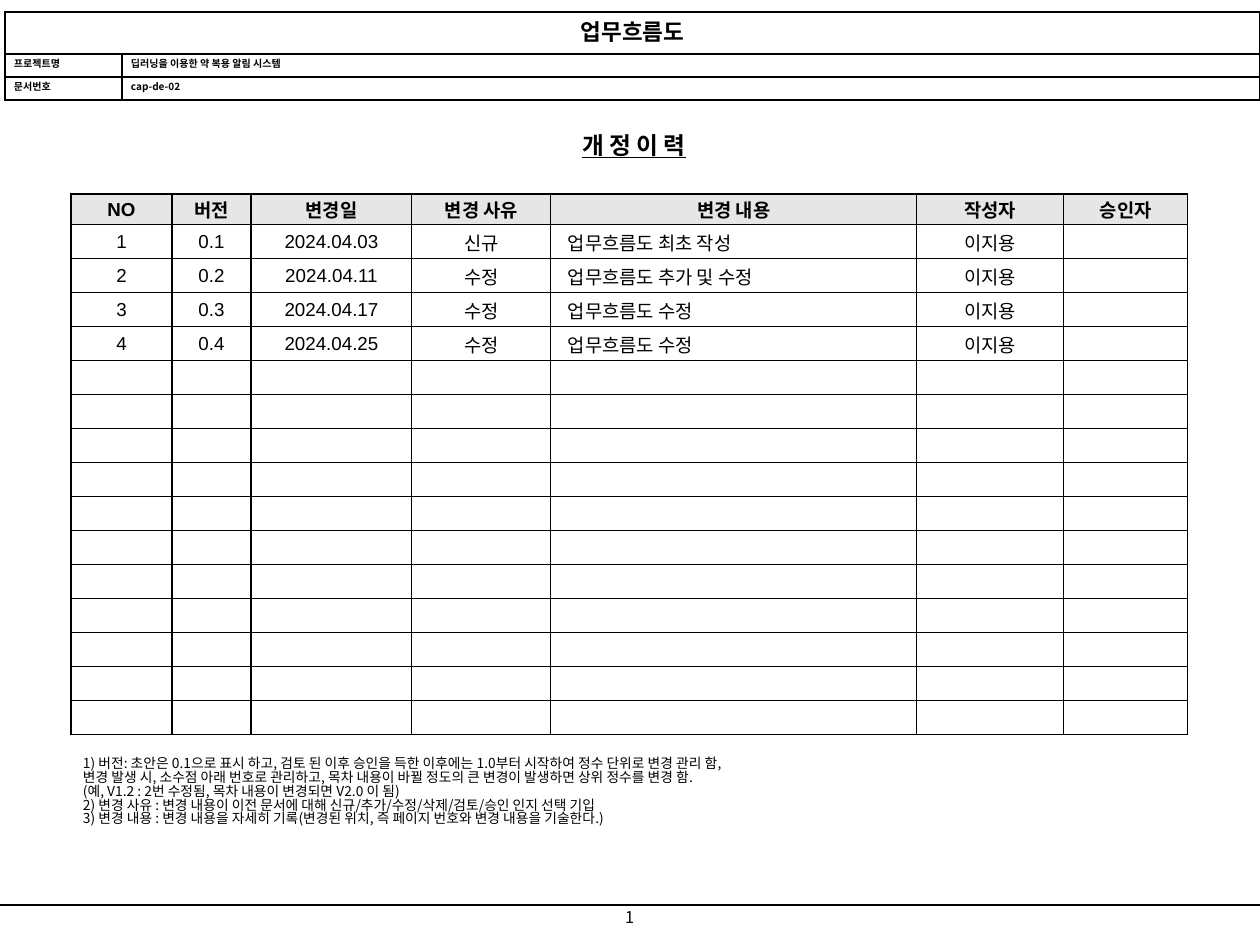
from lxml import etree
from pptx import Presentation
from pptx.dml.color import RGBColor
from pptx.enum.shapes import MSO_CONNECTOR
from pptx.enum.text import MSO_ANCHOR, PP_ALIGN
from pptx.oxml.ns import qn
from pptx.util import Pt

PX = 10160
LEFT, CENTER = PP_ALIGN.LEFT, PP_ALIGN.CENTER
TOP, MIDDLE = MSO_ANCHOR.TOP, MSO_ANCHOR.MIDDLE
STRAIGHT = MSO_CONNECTOR.STRAIGHT
BLACK, WHITE, GREY = "000000", "FFFFFF", "E6E6E6"
KOREAN, LATIN = "Noto Sans CJK KR", "Arial"
TIGHT = 0.83

HEADER = [["업무흐름도", ""],
          ["프로젝트명", "딥러닝을 이용한 약 복용 알림 시스템"],
          ["문서번호", "cap-de-02"]]
COLUMNS = [("NO", 101), ("버전", 79), ("변경일", 161), ("변경 사유", 139),
           ("변경 내용", 366), ("작성자", 147), ("승인자", 124)]
CONTENT_COLUMN = 4
REVISIONS = [("1", "0.1", "2024.04.03", "신규", "업무흐름도 최초 작성", "이지용", ""),
             ("2", "0.2", "2024.04.11", "수정", "업무흐름도 추가 및 수정", "이지용", ""),
             ("3", "0.3", "2024.04.17", "수정", "업무흐름도 수정", "이지용", ""),
             ("4", "0.4", "2024.04.25", "수정", "업무흐름도 수정", "이지용", "")]
BODY_ROWS = 15
NOTES = [
    "1) 버전: 초안은 0.1으로 표시 하고, 검토 된 이후 승인을 득한 이후에는 1.0부터 시작하여 정수 단위로 변경 관리 함,",
    "변경 발생 시, 소수점 아래 번호로 관리하고, 목차 내용이 바뀔 정도의 큰 변경이 발생하면 상위 정수를 변경 함.",
    "(예, V1.2 : 2번 수정됨, 목차 내용이 변경되면 V2.0 이 됨)",
    "2) 변경 사유 : 변경 내용이 이전 문서에 대해 신규/추가/수정/삭제/검토/승인 인지 선택 기입",
    "3) 변경 내용 : 변경 내용을 자세히 기록(변경된 위치, 즉 페이지 번호와 변경 내용을 기술한다.)",
]


def px(n):
    """Turn pixels into EMU."""
    return int(n * PX)


def color(value):
    """Turn a hex string into a colour."""
    return RGBColor.from_string(value)


def write(p, text, size, name=KOREAN, bold=False, align=LEFT):
    """Fill a paragraph with styled text."""
    p.text = text
    p.alignment = align
    p.font.name, p.font.size, p.font.bold = name, Pt(size), bold
    p.font.color.rgb = color(BLACK)
    props = p._p.pPr.find(qn("a:defRPr"))
    etree.SubElement(props, qn("a:ea")).set("typeface", KOREAN)


def add_text(s, box, lines, size, bold=False, align=LEFT, anchor=TOP, wrap=True):
    """Add a text box with one paragraph per line and return its frame."""
    tf = s.shapes.add_textbox(*map(px, box)).text_frame
    tf.word_wrap, tf.vertical_anchor = wrap, anchor
    tf.margin_left = tf.margin_right = px(12)
    tf.margin_top = tf.margin_bottom = px(6)
    for i, line in enumerate(lines):
        p = tf.paragraphs[0] if i == 0 else tf.add_paragraph()
        write(p, line, size, bold=bold, align=align)
        p.line_spacing = TIGHT
    return tf


def add_grid(s, x, y, widths, heights):
    """Add a plain table with the given column widths and row heights."""
    frame = s.shapes.add_table(len(heights), len(widths), px(x), px(y),
                               px(sum(widths)), px(sum(heights)))
    table = frame.table
    table.first_row = table.horz_banding = False
    for column, width in zip(table.columns, widths):
        column.width = px(width)
    for row, height in zip(table.rows, heights):
        row.height = px(height)
    return table


def style_cell(cell, fill, inset_x, inset_y, anchor):
    """Set a cell's borders, fill, margins and anchor."""
    cell.margin_left = cell.margin_right = px(inset_x)
    cell.margin_top = cell.margin_bottom = px(inset_y)
    cell.vertical_anchor = anchor
    tcPr = cell._tc.get_or_add_tcPr()
    for side in ("lnL", "lnR", "lnT", "lnB"):
        ln = etree.SubElement(tcPr, qn(f"a:{side}"), w=str(Pt(1)))
        solid = etree.SubElement(ln, qn("a:solidFill"))
        etree.SubElement(solid, qn("a:srgbClr"), val=BLACK)
    cell.fill.solid()
    cell.fill.fore_color.rgb = color(fill)


def document_header(s, x, y):
    """Place the document title, project name and document number."""
    table = add_grid(s, x, y, [117, 1138], [42, 23, 23])
    for r, row in enumerate(HEADER):
        for c, text in enumerate(row):
            cell = table.cell(r, c)
            style_cell(cell, WHITE, 9, 2, TOP)
            write(cell.text_frame.paragraphs[0], text, 8 if r else 18,
                  bold=True, align=LEFT if r else CENTER)
    table.cell(0, 0).merge(table.cell(0, 1))


def revision_table(s, x, y):
    """Place the revision history with its blank rows."""
    names, widths = zip(*COLUMNS)
    blanks = [[""] * len(names)] * (BODY_ROWS - len(REVISIONS))
    table = add_grid(s, x, y, widths, [31] + [34] * BODY_ROWS)
    for r, row in enumerate([names, *REVISIONS, *blanks]):
        for c, text in enumerate(row):
            cell = table.cell(r, c)
            is_content = r > 0 and c == CONTENT_COLUMN
            style_cell(cell, WHITE if r else GREY, 8, 0, MIDDLE)
            if is_content:
                cell.margin_left = px(17)
            write(cell.text_frame.paragraphs[0], text, 15, LATIN, r == 0,
                  LEFT if is_content else CENTER)


def footer(s, y, width):
    """Place the rule and the page number beneath it."""
    rule = s.shapes.add_connector(STRAIGHT, 0, px(y), px(width), px(y))
    rule.line.color.rgb = color(BLACK)
    rule.line.width = Pt(1)
    etree.SubElement(rule._element.spPr, qn("a:effectLst"))
    add_text(s, (width // 2 - 25, y, 49, 31), ["1"], 13, align=CENTER, wrap=False)


def main():
    """Build the revision history slide."""
    prs = Presentation()
    prs.slide_width, prs.slide_height = px(1260), px(945)
    s = prs.slides.add_slide(prs.slide_layouts[6])
    footer(s, 905, 1260)
    title = add_text(s, (524, 126, 220, 42), ["개 정 이 력"], 19, True, CENTER, MIDDLE)
    title.paragraphs[0].font.underline = True
    revision_table(s, 71, 194)
    add_text(s, (71, 752, 1118, 95), NOTES, 11)
    document_header(s, 5, 12)
    prs.save("out.pptx")


if __name__ == "__main__":
    main()
